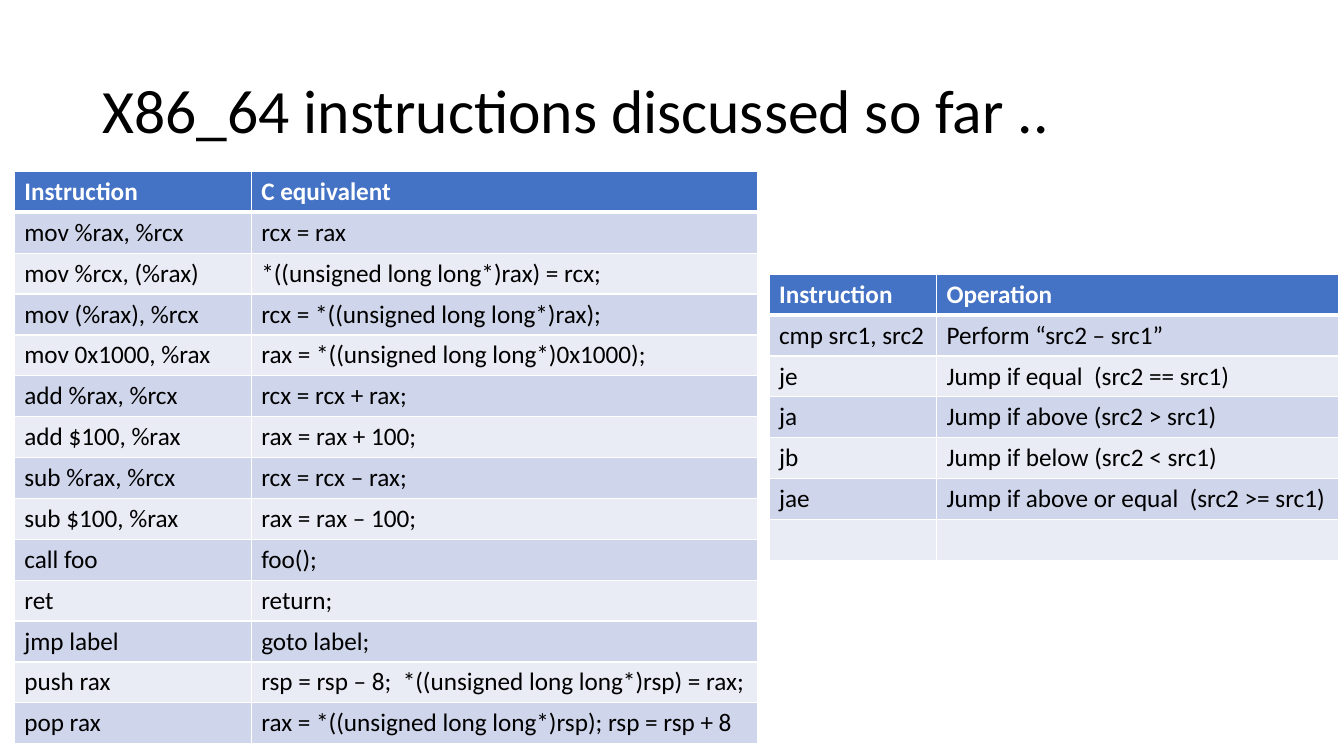
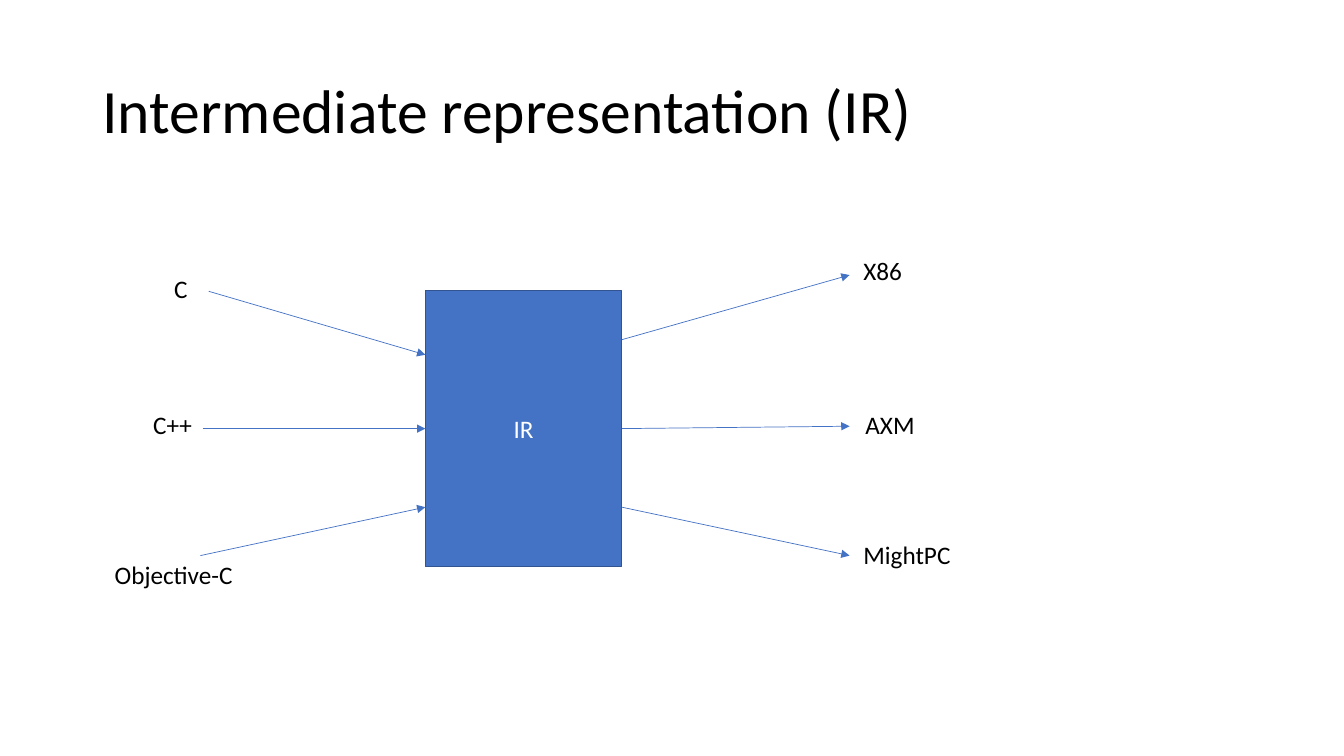
from lxml import etree
from pptx import Presentation
from pptx.dml.color import RGBColor as Rgb
from pptx.enum.shapes import MSO_CONNECTOR as Conn, MSO_SHAPE as Kind
from pptx.enum.text import MSO_ANCHOR as Anchor, MSO_AUTO_SIZE as Fit, PP_ALIGN as Align
from pptx.oxml.ns import qn
from pptx.util import Cm, Pt

HUES = {
    "blue": "4472C4", "edge": "325491", "dark": "CFD5EA", "pale": "E9EBF5",
    "white": "FFFFFF", "black": "000000",
}
FONT = "Calibri"


def hue(name):
    return Rgb.from_string(HUES[name])


class Deck:
    def __init__(self):
        self.file = Presentation()
        self.file.slide_width, self.file.slide_height = Cm(33.87), Cm(19.05)
        self.slide = None

    def style(self, para, color="black", size=18, bold=False):
        font = para.font
        font.name, font.size, font.bold = FONT, Pt(size), bold
        font.color.rgb = hue(color)

    def page(self, text):
        """Start a slide with its title."""
        self.slide = self.file.slides.add_slide(self.file.slide_layouts[5])
        title = self.slide.shapes.title
        title.left, title.top, title.width, title.height = Cm(2.33), Cm(1.01), Cm(29.21), Cm(3.68)
        frame = title.text_frame
        frame.text = text
        frame.auto_size, frame.vertical_anchor = Fit.NONE, Anchor.MIDDLE
        para = frame.paragraphs[0]
        para.alignment, para.line_spacing = Align.LEFT, 0.9
        self.style(para, size=44)

    def rule(self, cell, side, width):
        """Draw one white cell border."""
        line = etree.SubElement(cell._tc.get_or_add_tcPr(), qn("a:ln" + side), w=str(Pt(width)))
        fill = etree.SubElement(line, qn("a:solidFill"))
        etree.SubElement(fill, qn("a:srgbClr"), val=HUES["white"])

    def table(self, x, y, widths, rows, high=1.03):
        grid = self.slide.shapes.add_table(
            len(rows), len(widths), Cm(x), Cm(y), Cm(sum(widths)), Cm(high * len(rows))).table
        grid.first_row = grid.horz_banding = False
        for col, width in zip(grid.columns, widths):
            col.width = Cm(width)
        for i, row in enumerate(rows):
            grid.rows[i].height = Cm(high)
            head = i == 0
            band = "blue" if head else ("pale", "dark")[i % 2]
            for j, text in enumerate(row):
                cell = grid.cell(i, j)
                # A thick line parts the header from the body
                for side, width in (("L", 1), ("R", 1), ("T", 3 if i == 1 else 1), ("B", 3 if head else 1)):
                    self.rule(cell, side, width)
                cell.fill.solid()
                cell.fill.fore_color.rgb = hue(band)
                cell.text = text
                self.style(cell.text_frame.paragraphs[0], "white" if head else "black", bold=head)

    def box(self, x, y, w, h, text):
        shape = self.slide.shapes.add_shape(Kind.RECTANGLE, Cm(x), Cm(y), Cm(w), Cm(h))
        shape.shadow.inherit = False
        shape.fill.solid()
        shape.fill.fore_color.rgb = hue("blue")
        shape.line.color.rgb = hue("edge")
        shape.line.width = Pt(1)
        frame = shape.text_frame
        frame.text, frame.vertical_anchor = text, Anchor.MIDDLE
        para = frame.paragraphs[0]
        para.alignment = Align.CENTER
        self.style(para, "white")
        return shape

    def label(self, x, y, text):
        frame = self.slide.shapes.add_textbox(Cm(x), Cm(y), Cm(5.11), Cm(1.02)).text_frame
        frame.word_wrap, frame.auto_size = True, Fit.SHAPE_TO_FIT_TEXT
        frame.text = text
        self.style(frame.paragraphs[0])

    def arrow(self, x1, y1, x2, y2):
        link = self.slide.shapes.add_connector(Conn.STRAIGHT, Cm(x1), Cm(y1), Cm(x2), Cm(y2))
        link.line.color.rgb = hue("blue")
        link.line.width = Pt(0.5)
        etree.SubElement(link.line._get_or_add_ln(), qn("a:tailEnd"), type="triangle")
        etree.SubElement(link._element.spPr, qn("a:effectLst"))
        return link


MOVES = [
    ("Instruction", "C equivalent"),
    ("mov %rax, %rcx", "rcx = rax"),
    ("mov %rcx, (%rax)", "*((unsigned long long*)rax) = rcx;"),
    ("mov (%rax), %rcx", "rcx = *((unsigned long long*)rax);"),
    ("mov 0x1000, %rax", "rax = *((unsigned long long*)0x1000);"),
    ("add %rax, %rcx", "rcx = rcx + rax;"),
    ("add $100, %rax", "rax = rax + 100;"),
    ("sub %rax, %rcx", "rcx = rcx – rax;"),
    ("sub $100, %rax", "rax = rax – 100;"),
    ("call foo", "foo();"),
    ("ret", "return;"),
    ("jmp label", "goto label;"),
    ("push rax", "rsp = rsp – 8;  *((unsigned long long*)rsp) = rax;"),
    ("pop rax", "rax = *((unsigned long long*)rsp); rsp = rsp + 8"),
]
JUMPS = [
    ("Instruction", "Operation"),
    ("cmp src1, src2", "Perform “src2 – src1”"),
    ("je", "Jump if equal  (src2 == src1)"),
    ("ja", "Jump if above (src2 > src1)"),
    ("jb", "Jump if below (src2 < src1)"),
    ("jae", "Jump if above or equal  (src2 >= src1)"),
    ("", ""),
]
# Text, label x and y, arrow's outer x and y, arrow's y at the box
INPUTS = [
    ("C", 4.14, 6.76, 5.26, 7.34, 8.94),
    ("C++", 3.61, 10.19, 5.11, 10.8, 10.8),
    ("Objective-C", 2.64, 13.97, 5.05, 14, 12.78),
]
TARGETS = [
    ("X86", 21.51, 6.32, 21.41, 6.93, 8.56),
    ("AXM", 21.56, 10.19, 21.41, 10.74, 10.8),
    ("MightPC", 21.51, 13.46, 21.41, 14, 12.78),
]


def main():
    deck = Deck()

    # Instruction tables
    deck.page("X86_64 instructions discussed so far ..")
    deck.table(0.36, 4.32, (5.97, 12.76), MOVES)
    deck.table(19.38, 6.91, (4.22, 10.13), JUMPS)

    # Languages to IR to machines
    deck.page("Intermediate representation (IR)")
    left, top, wide, high = 10.72, 7.32, 4.95, 6.96
    core = deck.box(left, top, wide, high, "IR")
    mid = top + high / 2
    for text, x, y, far, start, end in INPUTS:
        deck.label(x, y, text)
        link = deck.arrow(far, start, left, end)
        if abs(end - mid) < 0.01:
            link.end_connect(core, 1)
    for text, x, y, far, end, start in TARGETS:
        deck.label(x, y, text)
        link = deck.arrow(left + wide, start, far, end)
        if abs(start - mid) < 0.01:
            link.begin_connect(core, 3)

    deck.file.save("out.pptx")


if __name__ == "__main__":
    main()
